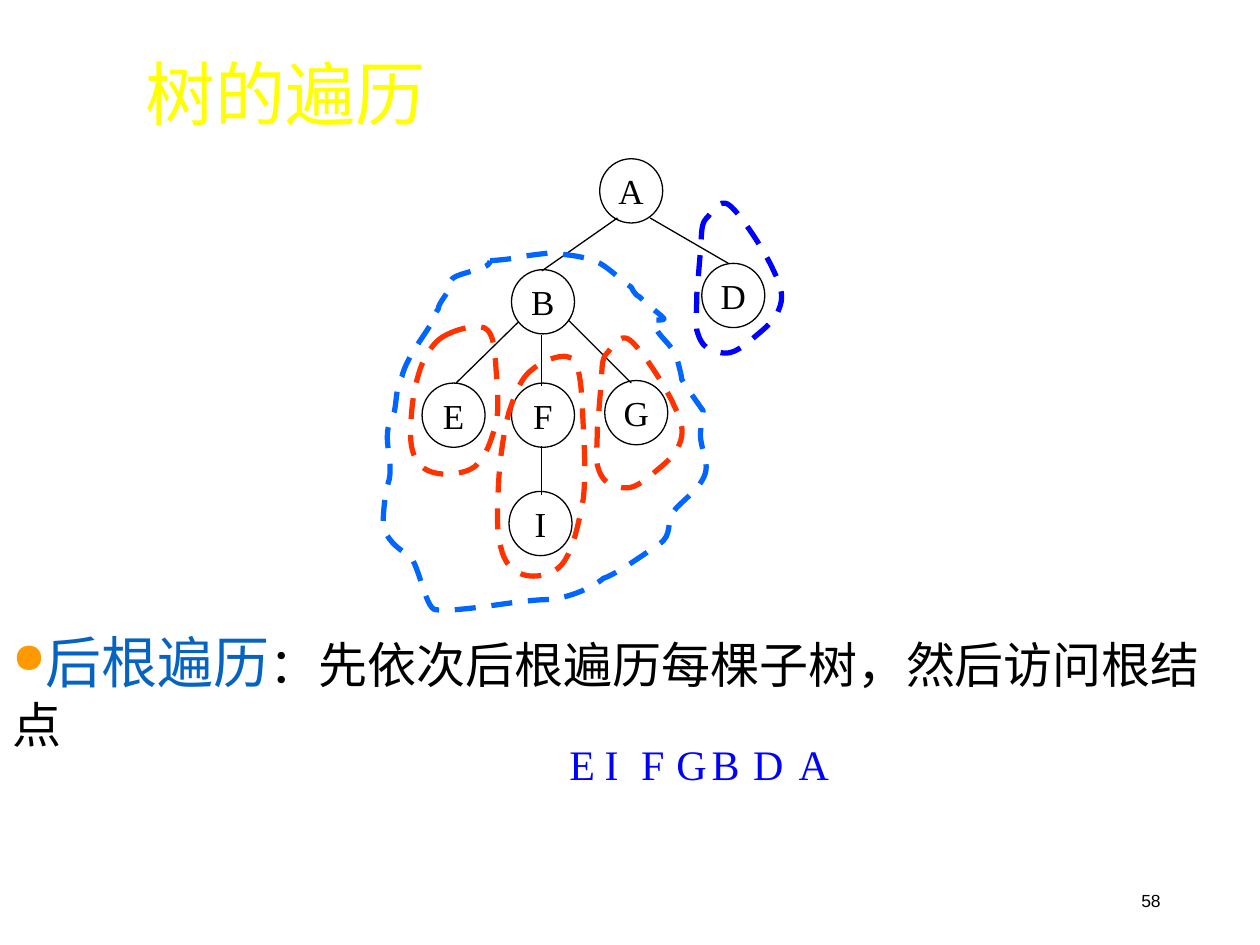
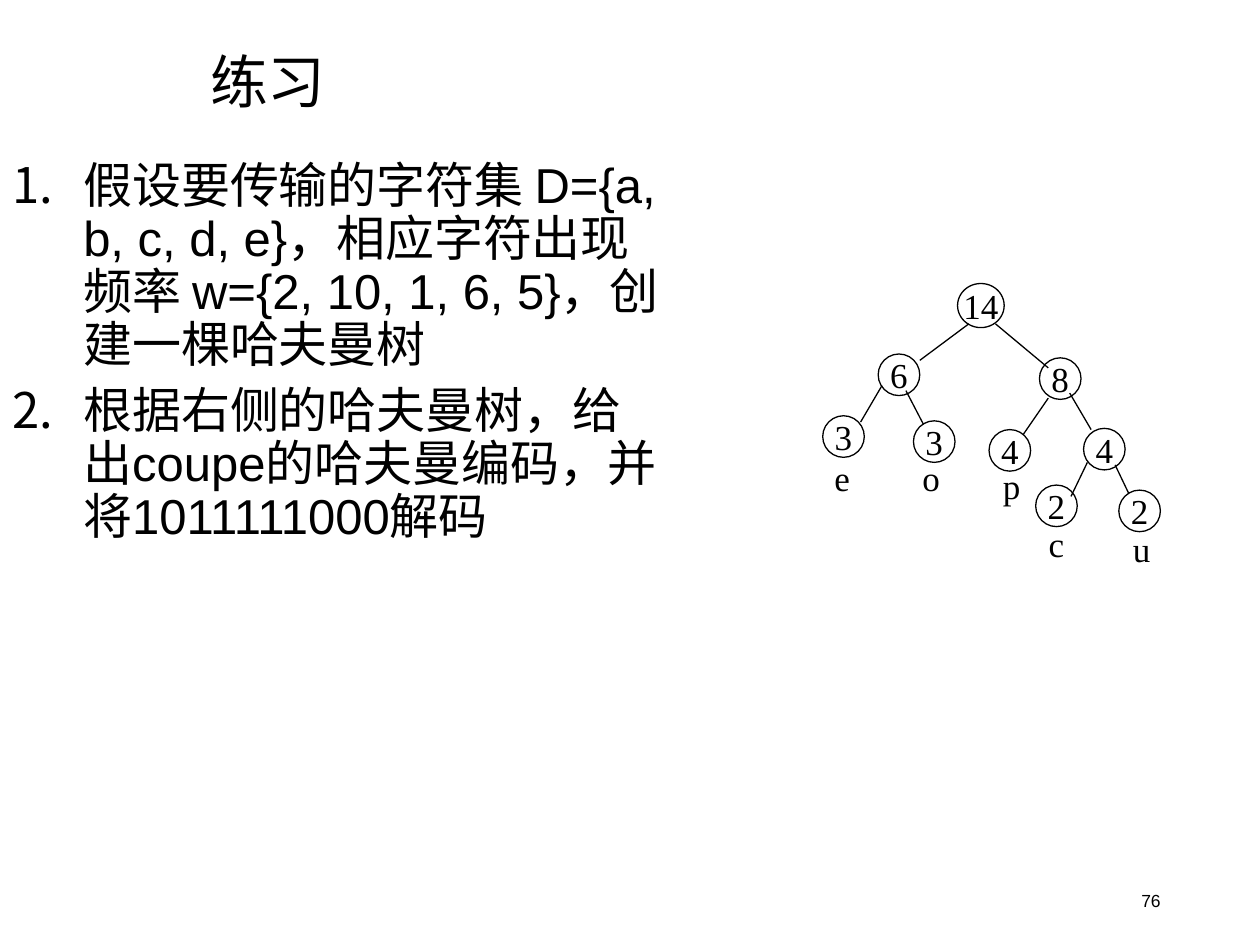
from lxml import etree
from pptx import Presentation
from pptx.dml.color import RGBColor
from pptx.enum.dml import MSO_LINE_DASH_STYLE as Dash
from pptx.enum.shapes import MSO_CONNECTOR as Connector, MSO_SHAPE as Preset
from pptx.enum.text import MSO_ANCHOR as Anchor, PP_ALIGN as Align
from pptx.oxml.ns import qn
from pptx.util import Inches, Pt

BLACK = RGBColor(0, 0, 0)
WHITE = RGBColor(255, 255, 255)
YELLOW = RGBColor(255, 255, 0)
HEADING_BLUE = RGBColor(0x05, 0x63, 0xC1)
BULLET_ORANGE = RGBColor(255, 0x99, 0)
PURE_BLUE = RGBColor(0, 0, 255)
SKY_BLUE = RGBColor(0, 0x66, 255)
RED = RGBColor(255, 0x33, 0)
CJK = "Noto Sans CJK SC"
SANS = "Arial"
SERIF = "Times New Roman"


def write(box, paragraphs, anchor=Anchor.TOP, wrap=True, **paragraph_format):
    """Fill a shape; each paragraph is a list of (text, size, font, colour)."""
    frame = box.text_frame
    frame.word_wrap = wrap
    frame.vertical_anchor = anchor
    for index, spans in enumerate(paragraphs):
        para = frame.add_paragraph() if index else frame.paragraphs[0]
        para.alignment = Align.LEFT
        for name, value in paragraph_format.items():
            setattr(para, name, value)
        for text, size, font, color in spans:
            span = para.add_run()
            span.text = text
            span.font.size = Pt(size)
            span.font.name = font
            span.font.color.rgb = color
            east_asian = etree.SubElement(span.font._element, qn("a:ea"))
            east_asian.set("typeface", CJK)


def add_loop(page, points, color):
    """Draw a closed dashed outline through a start point and cubic Bezier triples."""
    points = [(Inches(x), Inches(y)) for x, y in points]
    builder = page.shapes.build_freeform(*points[0])
    builder.add_line_segments(points[3::3], close=True)
    loop = builder.convert_to_shape()
    segments = list(loop._element.iter(qn("a:lnTo")))
    for index, segment in enumerate(segments):
        curve = etree.Element(qn("a:cubicBezTo"))
        for x, y in points[3 * index + 1:3 * index + 4]:
            point = etree.SubElement(curve, qn("a:pt"))
            point.set("x", str(x - loop.left))
            point.set("y", str(y - loop.top))
        segment.getparent().replace(segment, curve)
    loop.shadow.inherit = False
    loop.fill.background()
    loop.line.color.rgb = color
    loop.line.width = Pt(3)
    loop.line.dash_style = Dash.DASH


deck = Presentation()
deck.slide_width, deck.slide_height = Inches(10), Inches(7.5)
traversal, exercise = [deck.slides.add_slide(deck.slide_layouts[6]) for _ in range(2)]

# Titles and slide numbers
for page, title, left, size, color, title_format, number in (
    (traversal, "树的遍历", 1.06, 40, YELLOW, {}, "58"),
    (exercise, "练习", 1.57, 33, BLACK,
     {"anchor": Anchor.MIDDLE, "line_spacing": 0.9}, "76"),
):
    box = page.shapes.add_textbox(Inches(left), Inches(0.35), Inches(8.43), Inches(0.65))
    write(box, [[(title, size, CJK, color)]], **title_format)
    box = page.shapes.add_textbox(Inches(7.06), Inches(6.95), Inches(2.25), Inches(0.4))
    write(box, [[(number, 10, SANS, BLACK)]], anchor=Anchor.MIDDLE, alignment=Align.RIGHT)

# Definition of the post-order traversal
definition = traversal.shapes.add_shape(
    Preset.RECTANGLE, Inches(0), Inches(4.93), Inches(10), Inches(1.1))
definition.shadow.inherit = False
definition.fill.solid()
definition.fill.fore_color.rgb = WHITE
definition.line.fill.background()
write(definition, [[("后根遍历", 32, SANS, HEADING_BLUE),
                    ("：先依次后根遍历每棵子树，然后访问根结点", 28, SANS, BLACK)]])
properties = definition.text_frame.paragraphs[0]._p.get_or_add_pPr()
bullet_color = etree.SubElement(properties, qn("a:buClr"))
etree.SubElement(bullet_color, qn("a:srgbClr")).set("val", str(BULLET_ORANGE))
etree.SubElement(properties, qn("a:buSzPct")).set("val", "75000")
etree.SubElement(properties, qn("a:buChar")).set("char", "●")

# Exercise questions
questions = exercise.shapes.add_textbox(Inches(0), Inches(1.23), Inches(5.35), Inches(5.65))
write(questions, [
    [("假设", 28, CJK, BLACK),
     ("要传输的字符集 D={a, b, c, d, e}，相应字符出现频率 w={2, 10, 1, 6, 5}，"
      "创建一棵哈夫曼树", 28, SANS, BLACK)],
    [("根据右侧的哈夫曼树，给出coupe的哈夫曼编码，并将1011111000解码", 28, SANS, BLACK)],
], line_spacing=0.9)
questions.text_frame.paragraphs[1].space_before = Pt(7.5)
for para in questions.text_frame.paragraphs:
    properties = para._p.get_or_add_pPr()
    properties.set("marL", str(Pt(40.5)))
    properties.set("indent", str(Pt(-40.5)))
    etree.SubElement(properties, qn("a:buAutoNum")).set("type", "arabicPeriod")

# Trees: nodes as (label, left, top), edges as (x1, y1, x2, y2)
general_nodes = [
    ("A", 4.76, 1.26), ("B", 4.06, 2.14), ("D", 5.57, 2.09), ("E", 3.35, 3.04),
    ("F", 4.06, 3.04), ("G", 4.8, 3.02), ("I", 4.04, 3.9),
]
general_edges = [
    (5.16, 1.73, 5.78, 2.09), (4.9, 1.73, 4.3, 2.15), (4.3, 2.66, 4.3, 3.06),
    (4.11, 2.56, 3.62, 3.04), (4.51, 2.54, 5.01, 3.04), (4.3, 3.54, 4.3, 3.93),
]
huffman_root = [("14", 7.6, 2.25)]
huffman_nodes = [
    ("6", 6.97, 2.81), ("8", 8.25, 2.84), ("3", 6.53, 3.3), ("3", 7.25, 3.34),
    ("4", 7.85, 3.41), ("4", 8.6, 3.4), ("2", 8.22, 3.85), ("2", 8.88, 3.89),
]
huffman_edges = [
    (7.69, 2.57, 7.3, 2.86), (7.9, 2.57, 8.32, 2.92), (7, 3.06, 6.83, 3.35),
    (7.19, 3.1, 7.33, 3.37), (8.32, 3.16, 8.12, 3.45), (8.49, 3.12, 8.66, 3.41),
    (8.63, 3.67, 8.5, 3.94), (8.85, 3.69, 8.96, 3.92),
]
huffman_tree = exercise.shapes.add_group_shape()
for parent, nodes, width, height, edges in (
    (traversal, general_nodes, 0.5, 0.51, general_edges),
    (huffman_tree, huffman_root, 0.37, 0.35, []),
    (huffman_tree, huffman_nodes, 0.33, 0.33, huffman_edges),
):
    for label, left, top in nodes:
        node = parent.shapes.add_shape(
            Preset.OVAL, Inches(left), Inches(top), Inches(width), Inches(height))
        node.shadow.inherit = False
        node.fill.background()
        node.line.color.rgb = BLACK
        node.line.width = Pt(0.75)
        write(node, [[(label, 20, SERIF, BLACK)]], anchor=Anchor.MIDDLE, wrap=False,
              alignment=Align.CENTER)
    for ends in edges:
        edge = parent.shapes.add_connector(Connector.STRAIGHT, *map(Inches, ends))
        edge.line.color.rgb = BLACK
        edge.line.width = Pt(0.75)
        etree.SubElement(edge._element.spPr, qn("a:effectLst"))

# Characters under the Huffman leaves
for character, left, top, width in (
    ("e", 6.52, 3.57, 0.33), ("o", 7.22, 3.57, 0.34), ("p", 7.86, 3.63, 0.34),
    ("c", 8.22, 4.09, 0.33), ("u", 8.89, 4.13, 0.34),
):
    box = huffman_tree.shapes.add_textbox(
        Inches(left), Inches(top), Inches(width), Inches(0.44))
    write(box, [[(character, 20, SERIF, BLACK)]], anchor=Anchor.MIDDLE, wrap=False,
          alignment=Align.CENTER)

# Visiting order
for letter, left, width in (("E", 4.42, 0.4), ("I", 4.7, 0.31), ("F", 4.99, 0.39),
                            ("G", 5.27, 0.44), ("B", 5.55, 0.42), ("D", 5.88, 0.44),
                            ("A", 6.24, 0.44)):
    box = traversal.shapes.add_textbox(Inches(left), Inches(5.81), Inches(width), Inches(0.5))
    write(box, [[(letter, 24, SERIF, PURE_BLUE)]], wrap=False)

# Dashed loops around the subtrees
subtree_b = [
    (3.89, 2.07),
    (4.16, 2.05), (4.06, 2.04), (4.35, 2.01), (4.48, 2.02), (4.64, 2.03), (4.76, 2.09),
    (4.85, 2.14), (4.92, 2.22), (5.01, 2.28), (5.02, 2.3), (5.03, 2.32), (5.05, 2.34),
    (5.06, 2.35), (5.09, 2.36), (5.1, 2.38), (5.12, 2.41), (5.25, 2.5), (5.27, 2.53),
    (5.28, 2.55), (5.17, 2.53), (5.18, 2.55), (5.22, 2.68), (5.33, 2.72), (5.37, 2.84),
    (5.38, 2.87), (5.41, 2.98), (5.41, 3.01), (5.43, 3.05), (5.58, 3.26), (5.58, 3.26),
    (5.57, 3.36), (5.57, 3.33), (5.56, 3.43), (5.55, 3.57), (5.65, 3.67), (5.58, 3.8),
    (5.54, 3.88), (5.44, 3.96), (5.37, 4.03), (5.27, 4.15), (5.35, 4.24), (5.23, 4.32),
    (5.14, 4.38), (4.89, 4.56), (4.79, 4.59), (4.68, 4.68), (4.53, 4.73), (4.39, 4.76),
    (4.15, 4.75), (3.7, 4.86), (3.46, 4.84), (3.37, 4.84), (3.32, 4.42), (3.23, 4.4),
    (3.14, 4.34), (3.07, 4.28), (3.04, 4.17), (3.04, 4.13), (3.05, 3.92), (3.08, 3.84),
    (3.14, 3.66), (3.01, 3.47), (3.12, 3.3), (3.15, 3.23), (3.14, 3.05), (3.19, 2.99),
    (3.22, 2.86), (3.34, 2.7), (3.41, 2.59), (3.44, 2.53), (3.44, 2.51), (3.48, 2.45),
    (3.47, 2.42), (3.59, 2.28), (3.58, 2.26), (3.53, 2.16), (3.89, 2.16), (3.89, 2.07),
]
upright_loop = [
    (0.29, 0.1),
    (0.2, 0.14), (0.15, 0.23), (0.1, 0.33), (0.06, 0.43), (0.03, 0.57), (0.02, 0.68),
    (0.01, 0.79), (0, 0.92), (0.02, 1), (0.04, 1.08), (0.07, 1.13), (0.12, 1.16),
    (0.18, 1.2), (0.28, 1.21), (0.35, 1.2), (0.43, 1.19), (0.51, 1.17), (0.56, 1.1),
    (0.62, 1.03), (0.66, 0.9), (0.69, 0.79), (0.71, 0.67), (0.7, 0.53), (0.69, 0.41),
    (0.68, 0.29), (0.68, 0.12), (0.62, 0.06), (0.57, 0), (0.38, 0.05), (0.29, 0.1),
]
slanted_loop = [
    (0.08, 0.18),
    (0.04, 0.23), (0.05, 0.32), (0.04, 0.43), (0.03, 0.53), (0.02, 0.68), (0.01, 0.78),
    (0.01, 0.89), (0, 0.99), (0.01, 1.06), (0.03, 1.13), (0.05, 1.17), (0.09, 1.2),
    (0.14, 1.23), (0.21, 1.25), (0.27, 1.24), (0.32, 1.23), (0.36, 1.2), (0.43, 1.15),
    (0.49, 1.09), (0.63, 1), (0.66, 0.9), (0.7, 0.81), (0.69, 0.73), (0.62, 0.59),
    (0.56, 0.45), (0.36, 0.14), (0.27, 0.07), (0.18, 0), (0.12, 0.15), (0.08, 0.18),
]
for points, left, top, stretch, color in (
    (subtree_b, 0, 0, 1, SKY_BLUE),
    (upright_loop, 3.25, 2.56, 1, RED),
    (slanted_loop, 4.73, 2.63, 1, RED),
    (upright_loop, 3.94, 2.78, 1.49, RED),
    (slanted_loop, 5.52, 1.56, 1, PURE_BLUE),
):
    add_loop(traversal, [(left + x, top + y * stretch) for x, y in points], color)

deck.save("out.pptx")
